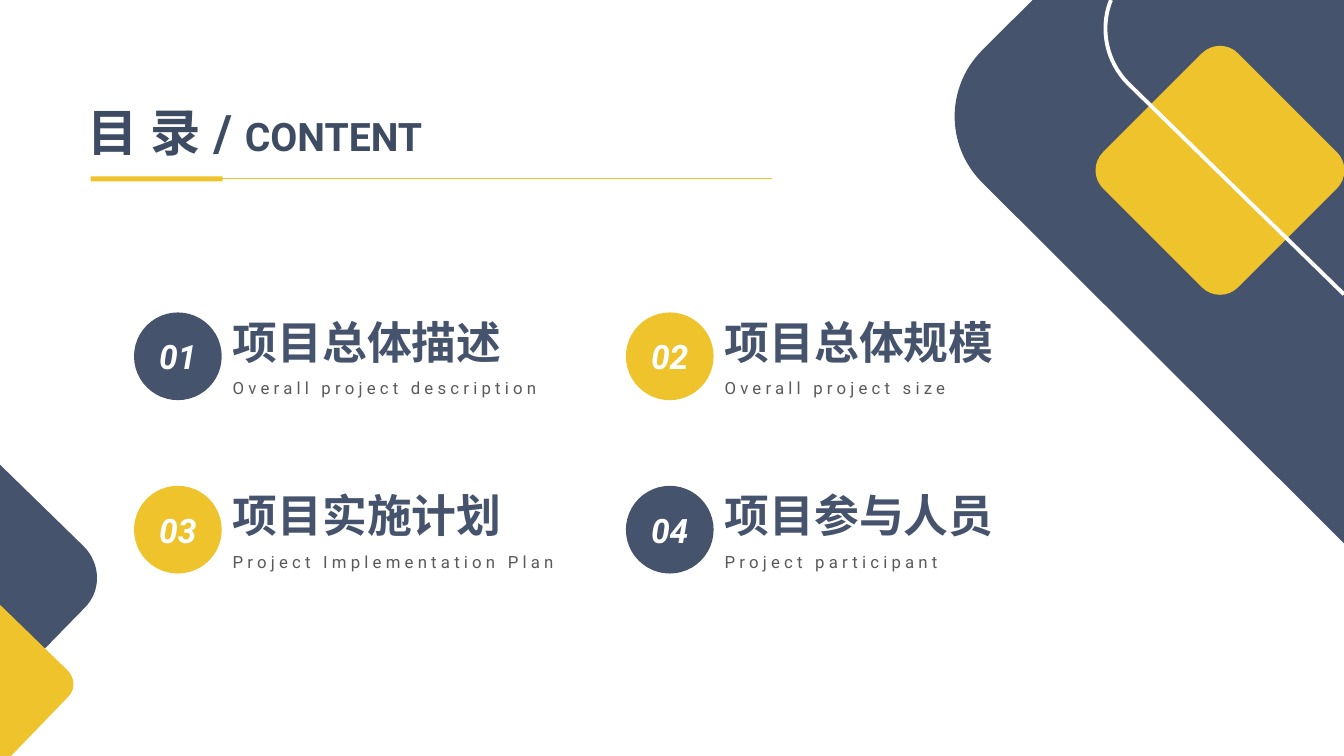
from pptx import Presentation, util as u
from pptx.dml.color import RGBColor
from pptx.enum import shapes, text
from pptx.oxml.ns import qn
from lxml import etree

WIDTH, HEIGHT = 40 / 3, 7.5
NAVY, GOLD, WHITE, GREY, INK = "45536C", "EFC32C", "FFFFFF", "595959", "3D4C63"
FONT = "Roboto"
ITEMS = [
    ("项目总体描述", "Overall project description", 3.29, NAVY),
    ("项目总体规模", "Overall project size", 2.44, GOLD),
    ("项目实施计划", "Project Implementation Plan", 3.44, GOLD),
    ("项目参与人员", "Project participant", 2.35, NAVY),
]


def color(value):
    return RGBColor.from_string(value)


def paint(shape, fill):
    shape.shadow.inherit = False
    shape.fill.solid()
    shape.fill.fore_color.rgb = color(fill)
    shape.line.fill.background()


def add_span(para, words, ink, spacing=None, **formats):
    span = para.add_run()
    span.text = words
    span.font.name = FONT
    span.font.color.rgb = color(ink)
    for name, value in formats.items():
        setattr(span.font, name, value)
    properties = span.font._element
    if spacing:
        properties.set("spc", str(spacing * 100))
    east_asian = etree.Element(qn("a:ea"), typeface=FONT)
    properties.find(qn("a:latin")).addnext(east_asian)


def add_text(page, left, top, width, height, **formats):
    """Add an empty text box and return its frame."""
    box = page.shapes.add_textbox(*map(u.Inches, (left, top, width, height)))
    for name, value in formats.items():
        setattr(box.text_frame, name, value)
    return box.text_frame


def middle(start, curve):
    """Point halfway along a cubic curve."""
    first, second, end = curve[:2], curve[2:4], curve[4:]
    return tuple((a + 3 * b + 3 * c + d) / 8
                 for a, b, c, d in zip(start, first, second, end))


def add_outline(page, left, top, steps, closed=True):
    """Draw points (x, y) and cubic curves (six numbers) from a given origin."""
    def place(point):
        return u.Inches(left + point[0]), u.Inches(top + point[1])

    points, curves = [steps[0]], {}
    for step in steps[1:]:
        if len(step) == 6:
            curves[len(points)] = step
            points.append(middle(points[-1], step))
        points.append(step[-2:])
    builder = page.shapes.build_freeform(*place(points[0]), scale=1.0)
    builder.add_line_segments(map(place, points[1:]), close=closed)
    shape = builder.convert_to_shape()
    shape.shadow.inherit = False

    outline = next(shape._element.iter(qn("a:path")))
    segments = list(outline)
    for index, curve in curves.items():
        bend = etree.Element(qn("a:cubicBezTo"))
        for start in (0, 2, 4):
            x, y = place(curve[start:start + 2])
            etree.SubElement(bend, qn("a:pt"), x=str(x - shape.left), y=str(y - shape.top))
        outline.remove(segments[index])
        outline.replace(segments[index + 1], bend)
    return shape


def rounded_diamond():
    """One rounded corner, turned four times by a quarter."""
    corner = [(1.16, -0.18), (1.26, -0.08), (1.26, 0.08), (1.16, 0.18)]
    steps = []
    for _ in range(4):
        steps += [corner[0], sum(corner[1:], ())]
        corner = [(-y, x) for x, y in corner]
    return steps


def top_corner(page, right, top):
    band = [(-3.09, 0), (0, 0), (0, 5.39), (-0.06, 5.33), (-3.6, 1.8),
            (-3.95, 1.44, -3.95, 0.87, -3.6, 0.51)]
    paint(add_outline(page, right, top, band), NAVY)
    paint(add_outline(page, right - 1.23, top + 1.69, rounded_diamond()), GOLD)
    stripe = add_outline(page, right, top, [
        (0, 2.92), (-2.14, 0.83), (-2.36, 0.61, -2.42, 0.29, -2.32, 0.02), (-2.31, 0),
    ], closed=False)
    stripe.fill.background()
    stripe.line.color.rgb = color(WHITE)
    stripe.line.width = u.Pt(2.75)


def bottom_corner(page, left, bottom):
    navy = [(0, -2.89), (0.83, -2.08), (1, -1.91, 1.01, -1.64, 0.84, -1.47), (0, -0.61)]
    gold = [(0, -1.5), (0.67, -0.85), (0.75, -0.77, 0.75, -0.65, 0.67, -0.58),
            (0.11, 0), (0, 0)]
    for steps, fill in ((navy, NAVY), (gold, GOLD)):
        paint(add_outline(page, left, bottom, steps), fill)


def heading(page, left, top, width):
    frame = add_text(page, left, top, 3.85, 0.81, word_wrap=True,
                     vertical_anchor=text.MSO_ANCHOR.MIDDLE)
    para = frame.paragraphs[0]
    add_span(para, "目 录 / ", INK, size=u.Pt(36), bold=True)
    add_span(para, "CONTENT", INK, size=u.Pt(28), bold=True)

    start, level = left + 0.13, top + 0.87
    rule = page.shapes.add_connector(
        shapes.MSO_CONNECTOR.STRAIGHT,
        *map(u.Inches, (start, level, left + width, level)))
    rule.line.color.rgb = color(GOLD)
    rule.line.width = u.Pt(0.5)
    etree.SubElement(rule._element.spPr, qn("a:effectLst"))
    accent = page.shapes.add_shape(
        shapes.MSO_SHAPE.RECTANGLE,
        *map(u.Inches, (start, level - 0.02, 1.31, 0.05)))
    paint(accent, GOLD)


def entry(page, left, top, number, title, subtitle, subtitle_width, fill):
    size = 0.87
    text_left = left + 0.88
    fit = {"word_wrap": False, "auto_size": text.MSO_AUTO_SIZE.SHAPE_TO_FIT_TEXT}
    frame = add_text(page, text_left, top - 0.03, 2.89, 0.64, **fit)
    add_span(frame.paragraphs[0], title, NAVY, size=u.Pt(32), bold=True)
    frame = add_text(page, text_left, top + 0.6, subtitle_width, 0.3, **fit)
    add_span(frame.paragraphs[0], subtitle, GREY, spacing=3, size=u.Pt(12))

    badge = page.shapes.add_shape(
        shapes.MSO_SHAPE.OVAL, *map(u.Inches, (left, top, size, size)))
    paint(badge, fill)
    badge.text_frame.vertical_anchor = text.MSO_ANCHOR.MIDDLE
    para = badge.text_frame.paragraphs[0]
    para.alignment = text.PP_ALIGN.CENTER
    add_span(para, f"{number:02}", WHITE, size=u.Pt(24), bold=True, italic=True)


def contents(page, left, top, column_step, row_step):
    for index, item in enumerate(ITEMS):
        row, column = divmod(index, 2)
        entry(page, left + column * column_step, top + row * row_step, index + 1, *item)


def main():
    deck = Presentation()
    deck.slide_width, deck.slide_height = u.Inches(WIDTH), u.Inches(HEIGHT)
    page = deck.slides.add_slide(deck.slide_layouts[6])
    top_corner(page, WIDTH, 0)
    bottom_corner(page, 0, HEIGHT)
    contents(page, 1.33, 3.1, column_step=4.88, row_step=1.72)
    heading(page, 0.77, 0.9, width=6.89)
    deck.save("out.pptx")


if __name__ == "__main__":
    main()
